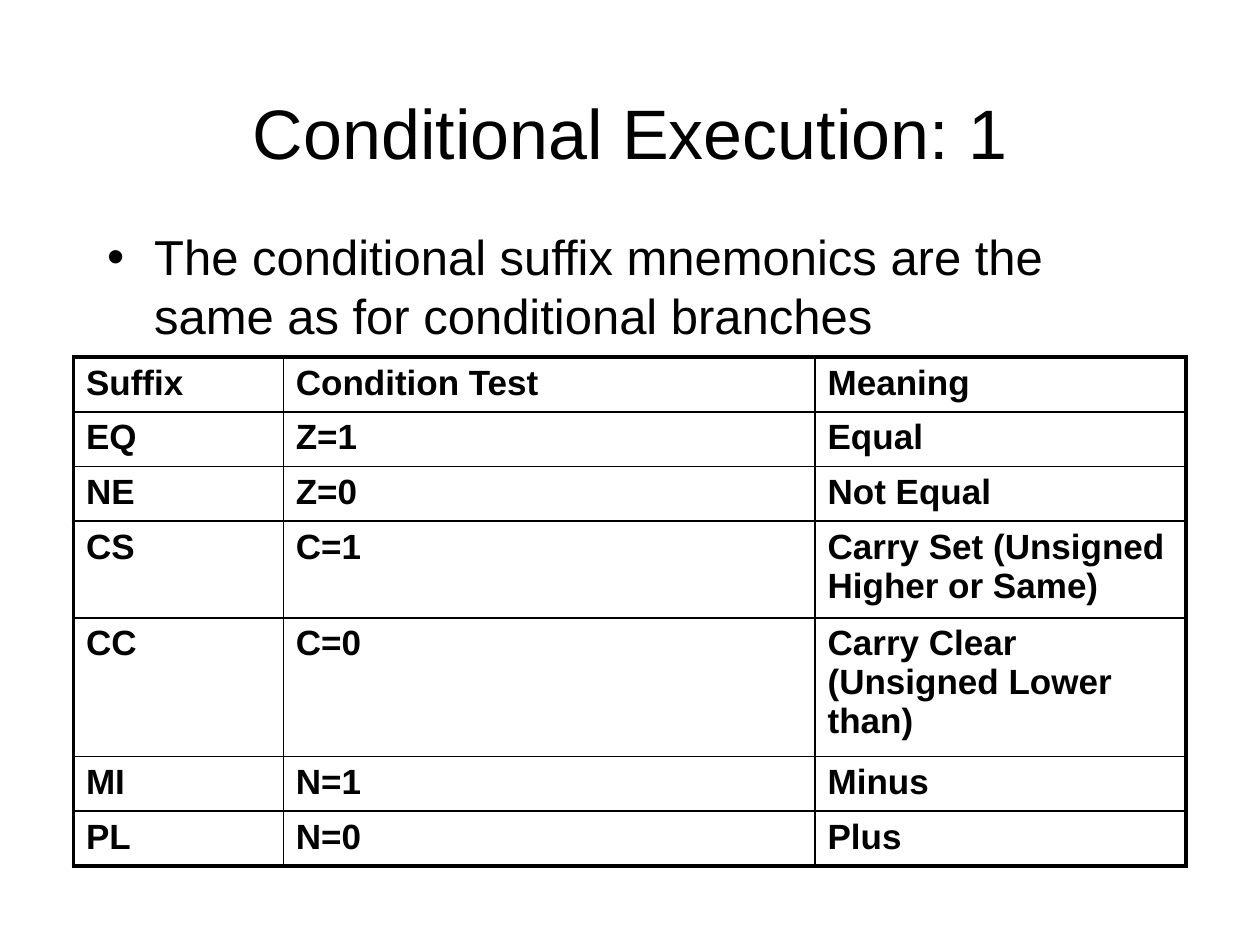
import pptx
import pptx.util
import pptx.dml.color
import pptx.enum.text
import pptx.oxml.ns
from lxml import etree

Cm = pptx.util.Cm
Pt = pptx.util.Pt
BLACK = pptx.dml.color.RGBColor(0, 0, 0)
FONT = "Arial"
THIN, THICK = 1, 2.25

CONDITIONS = [
    ("Suffix", "Condition Test", "Meaning"),
    ("EQ", "Z=1", "Equal"),
    ("NE", "Z=0", "Not Equal"),
    ("CS", "C=1", "Carry Set (Unsigned Higher or Same)"),
    ("CC", "C=0", "Carry Clear (Unsigned Lower than)"),
    ("MI", "N=1", "Minus"),
    ("PL", "N=0", "Plus"),
]
LINES_PER_ROW = (1, 1, 1, 2, 3, 1, 1)
COLUMN_SHARES = (4.23, 10.72, 7.48)


def add_element(parent, tag, **attributes):
    return etree.SubElement(parent, pptx.oxml.ns.qn(tag), attributes)


def format_runs(paragraph, size, bold=False):
    for run in paragraph.runs:
        run.font.name = FONT
        run.font.size = Pt(size)
        run.font.bold = bold
        run.font.color.rgb = BLACK


def place_title(slide, left, top, width, height):
    title = slide.shapes.title
    title.left, title.top, title.width, title.height = left, top, width, height
    frame = title.text_frame
    frame.text = "Conditional Execution: 1"
    frame.vertical_anchor = pptx.enum.text.MSO_ANCHOR.MIDDLE
    paragraph = frame.paragraphs[0]
    paragraph.alignment = pptx.enum.text.PP_ALIGN.CENTER
    format_runs(paragraph, 40)


def place_bullet(slide, left, top, width, height):
    frame = slide.shapes.add_textbox(left, top, width, height).text_frame
    frame.word_wrap = True
    frame.text = "The conditional suffix mnemonics are the same as for conditional branches"
    paragraph = frame.paragraphs[0]
    paragraph.space_after = Pt(14.1)
    format_runs(paragraph, 28)
    properties = paragraph._p.get_or_add_pPr()
    indent = Cm(0.95)
    properties.set("marL", str(indent))
    properties.set("indent", str(-indent))
    add_element(properties, "a:buFont", typeface=FONT)
    add_element(properties, "a:buChar", char="•")


def set_borders(cell, widths):
    properties = cell._tc.get_or_add_tcPr()
    for side, width in zip("LRTB", widths):
        line = add_element(properties, "a:ln" + side, w=str(Pt(width)))
        fill = add_element(line, "a:solidFill")
        add_element(fill, "a:srgbClr", val=str(BLACK))


def fill_cell(cell, text, widths):
    set_borders(cell, widths)
    cell.fill.background()
    cell.text = text
    paragraph = cell.text_frame.paragraphs[0]
    spacing = add_element(paragraph._p.get_or_add_pPr(), "a:spcBef")
    add_element(spacing, "a:spcPct", val="20000")
    format_runs(paragraph, 20, bold=True)


def place_table(slide, left, top, width, row_height, line_height):
    row_count, column_count = len(CONDITIONS), len(CONDITIONS[0])
    heights = [row_height + line_height * (lines - 1) for lines in LINES_PER_ROW]
    table = slide.shapes.add_table(
        row_count, column_count, left, top, width, sum(heights)
    ).table
    table.first_row = False
    table.horz_banding = False
    for column, share in zip(table.columns, COLUMN_SHARES):
        column.width = int(width * share / sum(COLUMN_SHARES))
    for row, height in zip(table.rows, heights):
        row.height = height
    for row_index, texts in enumerate(CONDITIONS):
        for column_index, text in enumerate(texts):
            outer_sides = (
                column_index == 0,
                column_index == column_count - 1,
                row_index == 0,
                row_index == row_count - 1,
            )
            widths = [THICK if outer else THIN for outer in outer_sides]
            fill_cell(table.cell(row_index, column_index), text, widths)


def build_slide(presentation):
    slide = presentation.slides.add_slide(presentation.slide_layouts[5])
    place_title(slide, Cm(1.9), Cm(1.07), Cm(21.6), Cm(3.18))
    place_bullet(slide, Cm(1.91), Cm(4.45), Cm(21.59), Cm(12.5))
    place_table(slide, Cm(1.48), Cm(7.2), Cm(22.43), Cm(1.04), Cm(0.78))


presentation = pptx.Presentation()
presentation.slide_width = Cm(25.4)
presentation.slide_height = Cm(19.05)
build_slide(presentation)
presentation.save("out.pptx")
